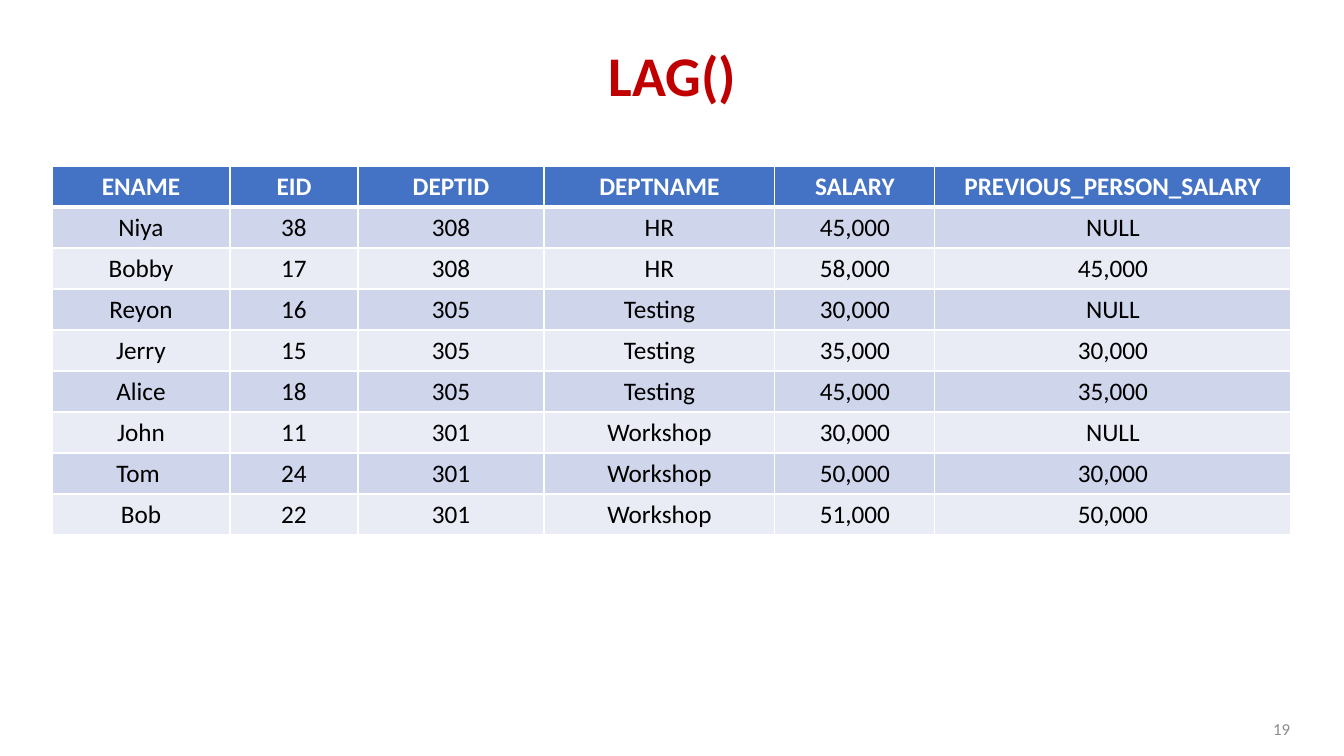
from lxml.etree import SubElement
from pptx import Presentation
from pptx.dml.color import RGBColor as RGB
from pptx.enum.text import MSO_ANCHOR as Anchor, PP_ALIGN as Align
from pptx.oxml.ns import qn
from pptx.util import Emu, Pt

TITLE = "LAG()"
NUMBER = "19"
ROWS = [
    ("ENAME", "EID", "DEPTID", "DEPTNAME", "SALARY", "PREVIOUS_PERSON_SALARY"),
    ("Niya", "38", "308", "HR", "45,000", "NULL"),
    ("Bobby", "17", "308", "HR", "58,000", "45,000"),
    ("Reyon", "16", "305", "Testing", "30,000", "NULL"),
    ("Jerry", "15", "305", "Testing", "35,000", "30,000"),
    ("Alice", "18", "305", "Testing", "45,000", "35,000"),
    ("John", "11", "301", "Workshop", "30,000", "NULL"),
    ("Tom ", "24", "301", "Workshop", "50,000", "30,000"),
    ("Bob", "22", "301", "Workshop", "51,000", "50,000"),
]
WIDTHS = [178, 128, 186, 231, 160, 356]
ROW_H = 41

FONT = "Calibri"
RED = RGB(0xC0, 0x00, 0x00)
GREY = RGB(0x8C, 0x8C, 0x8C)
BLUE = RGB(0x44, 0x72, 0xC4)
DARK = RGB(0xCF, 0xD5, 0xEA)
LIGHT = RGB(0xE9, 0xEB, 0xF5)
WHITE = RGB(0xFF, 0xFF, 0xFF)
BLACK = RGB(0x00, 0x00, 0x00)


def px(n):
    return Emu(round(n * 914400 / 100.8))


def style(para, size, color, bold, align):
    para.alignment = align
    font = para.font
    font.name, font.size, font.bold = FONT, Pt(size), bold
    font.color.rgb = color


def border(cell, side, width):
    """Draw one white edge; call before the cell is filled."""
    line = SubElement(cell._tc.get_or_add_tcPr(), qn("a:ln" + side), w=str(Pt(width)))
    fill = SubElement(line, qn("a:solidFill"))
    SubElement(fill, qn("a:srgbClr"), val=str(WHITE))


def add_title(slide):
    title = slide.shapes.title
    title.left, title.top, title.width, title.height = map(px, (93, 5, 1159, 146))
    frame = title.text_frame
    frame.text = TITLE
    frame.vertical_anchor = Anchor.MIDDLE
    para = frame.paragraphs[0]
    para.line_spacing = 0.9
    style(para, 40, RED, True, Align.CENTER)


def add_number(slide):
    frame = slide.shapes.add_textbox(*map(px, (998, 709, 302, 40))).text_frame
    frame.word_wrap = True
    frame.vertical_anchor = Anchor.MIDDLE
    frame.text = NUMBER
    style(frame.paragraphs[0], 12, GREY, False, Align.RIGHT)


def add_staff(slide):
    box = map(px, (52, 166, sum(WIDTHS), ROW_H * len(ROWS)))
    table = slide.shapes.add_table(len(ROWS), len(WIDTHS), *box).table
    for col, width in zip(table.columns, WIDTHS):
        col.width = px(width)
    for r, row in enumerate(ROWS):
        table.rows[r].height = px(ROW_H)
        head = r == 0
        back = BLUE if head else DARK if r % 2 else LIGHT
        for c, text in enumerate(row):
            cell = table.cell(r, c)
            for side in "LRTB":
                thick = (head and side == "B") or (r == 1 and side == "T")
                border(cell, side, 3 if thick else 1)
            cell.fill.solid()
            cell.fill.fore_color.rgb = back
            cell.text = text
            para = cell.text_frame.paragraphs[0]
            style(para, 18, WHITE if head else BLACK, head, Align.CENTER)


def main():
    deck = Presentation()
    deck.slide_width, deck.slide_height = px(1344), px(756)
    slide = deck.slides.add_slide(deck.slide_layouts[5])
    add_title(slide)
    add_number(slide)
    add_staff(slide)
    deck.save("out.pptx")


if __name__ == "__main__":
    main()
